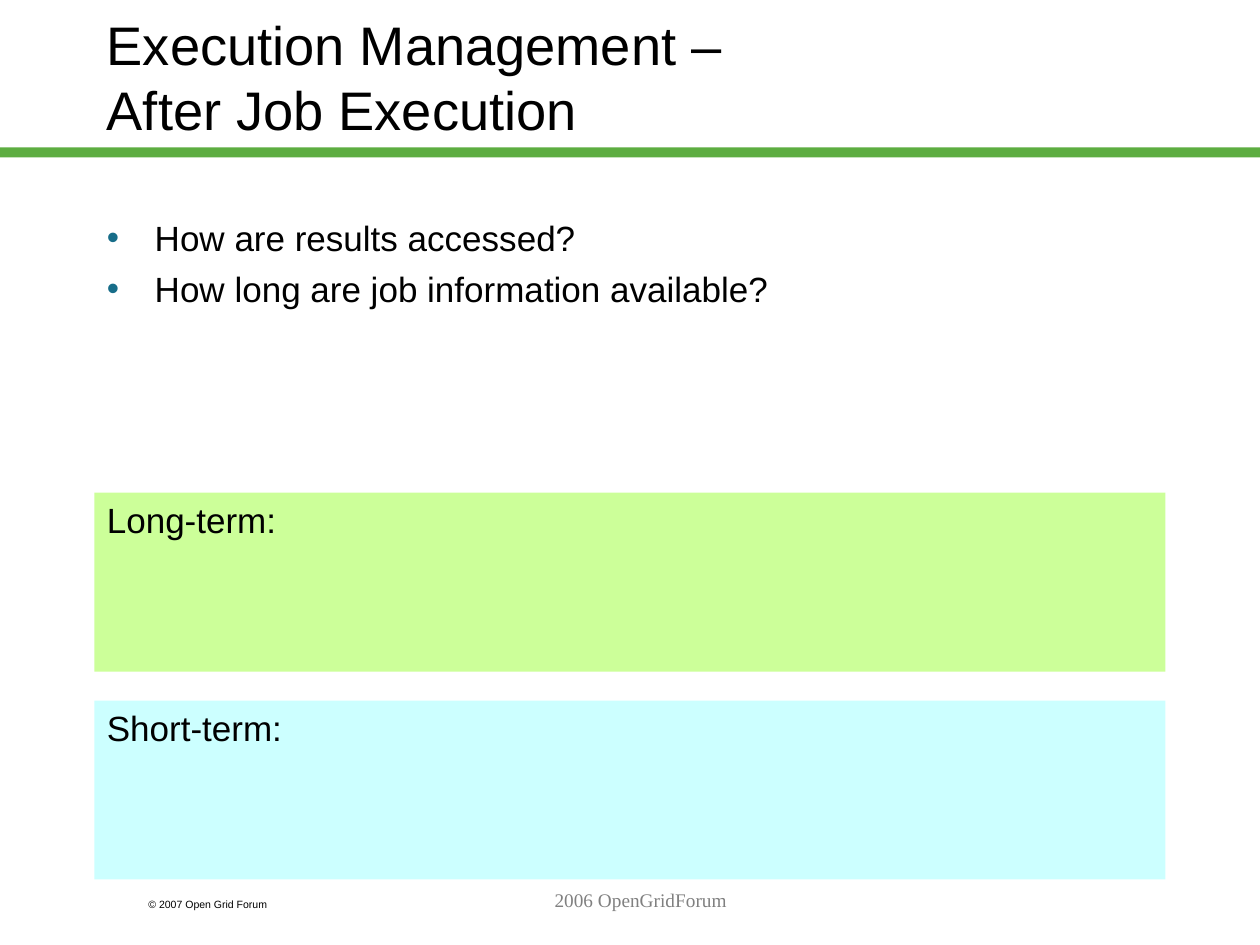
import pptx
import pptx.util
import pptx.dml.color
import pptx.enum.shapes
import pptx.enum.text
import pptx.oxml
import pptx.oxml.ns

WIDTH, HEIGHT = 10, 7.5
MARGIN = 0.075 * WIDTH
CONTENT_WIDTH = WIDTH - 2 * MARGIN
PANEL_TOP, PANEL_HEIGHT, PANEL_STEP = 3.91, 1.42, 1.65
INDENT = 0.38

COLORS = {
    "text": "000000",
    "rule": "5DAD41",
    "bullet": "176D89",
    "long": "CCFF99",
    "short": "CCFFFF",
    "footer": "808080",
}


def color(name):
    return pptx.dml.color.RGBColor.from_string(COLORS[name])


def inches(*lengths):
    return [pptx.util.Inches(length) for length in lengths]


def add_bar(page, area, fill):
    """Add a plain filled rectangle without an outline."""
    bar = page.shapes.add_shape(
        pptx.enum.shapes.MSO_SHAPE.RECTANGLE, *inches(*area))
    bar.shadow.inherit = False
    bar.fill.solid()
    bar.fill.fore_color.rgb = color(fill)
    bar.line.fill.background()
    return bar


def write_text(box, text, size, tint="text", font="Arial", align="LEFT", anchor="TOP"):
    """Write the lines of text into a shape and format their runs."""
    frame = box.text_frame
    frame.word_wrap = True
    frame.vertical_anchor = getattr(pptx.enum.text.MSO_ANCHOR, anchor)
    frame.text = text
    for para in frame.paragraphs:
        para.alignment = getattr(pptx.enum.text.PP_ALIGN, align)
        for span in para.runs:
            span.font.name = font
            span.font.size = pptx.util.Pt(size)
            span.font.color.rgb = color(tint)


def add_text(page, area, text, size, **style):
    box = page.shapes.add_textbox(*inches(*area))
    write_text(box, text, size, **style)
    return box


def add_bullets(box):
    """Give each paragraph a coloured bullet with a hanging indent."""
    namespace = pptx.oxml.ns.nsdecls("a")
    for index, para in enumerate(box.text_frame.paragraphs):
        if index:
            para.space_before = pptx.util.Pt(5)
        properties = para._p.get_or_add_pPr()
        properties.set("marL", str(pptx.util.Inches(INDENT)))
        properties.set("indent", str(-pptx.util.Inches(INDENT)))
        for element in (
            f'<a:buClr {namespace}><a:srgbClr val="{COLORS["bullet"]}"/></a:buClr>',
            f'<a:buFont {namespace} typeface="Arial"/>',
            f'<a:buChar {namespace} char="•"/>',
        ):
            properties.append(pptx.oxml.parse_xml(element))


def main():
    deck = pptx.Presentation()
    deck.slide_width, deck.slide_height = inches(WIDTH, HEIGHT)
    page = deck.slides.add_slide(deck.slide_layouts[6])

    # Green rule and copyright line
    add_bar(page, (0, 1.17, WIDTH, 0.08), "rule")
    add_text(page, (1.08, 7.08, 1.5, 0.2), "© 2007 Open Grid Forum", 6)

    # Title
    add_text(page, (MARGIN, -0.02, CONTENT_WIDTH, 1.25),
             "Execution Management –\vAfter Job Execution", 31, anchor="MIDDLE")

    # Questions
    questions = add_text(
        page, (MARGIN, 1.67, CONTENT_WIDTH, 2.01),
        "How are results accessed?\nHow long are job information available?", 20)
    add_bullets(questions)

    # Panels for the two time frames
    for row, (label, fill) in enumerate(
            [("Long-term:", "long"), ("Short-term:", "short")]):
        top = PANEL_TOP + row * PANEL_STEP
        panel = add_bar(page, (MARGIN, top, CONTENT_WIDTH, PANEL_HEIGHT), fill)
        write_text(panel, label, 20)

    # Footer
    add_text(page, (2.17, 7, 5.83, 0.5), "2006 OpenGridForum", 11,
             tint="footer", font="Times New Roman", align="CENTER")

    deck.save("out.pptx")


if __name__ == "__main__":
    main()
